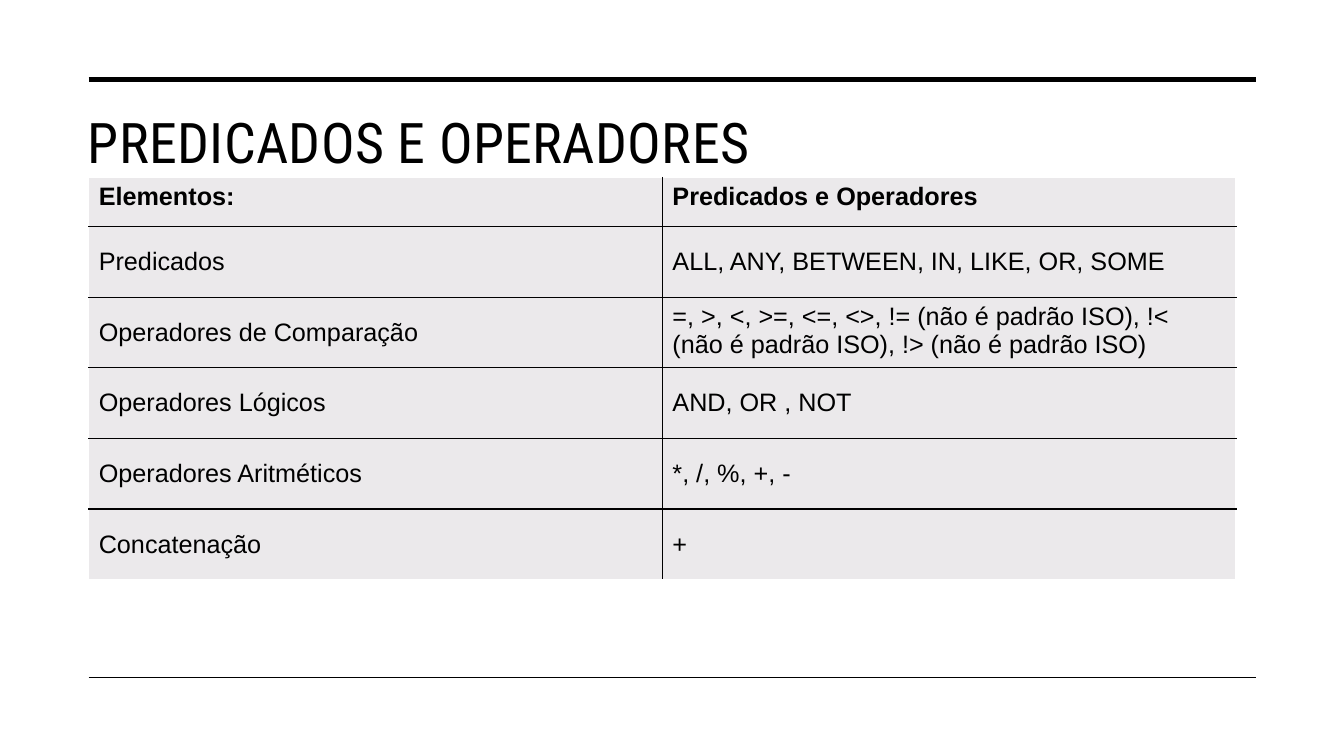
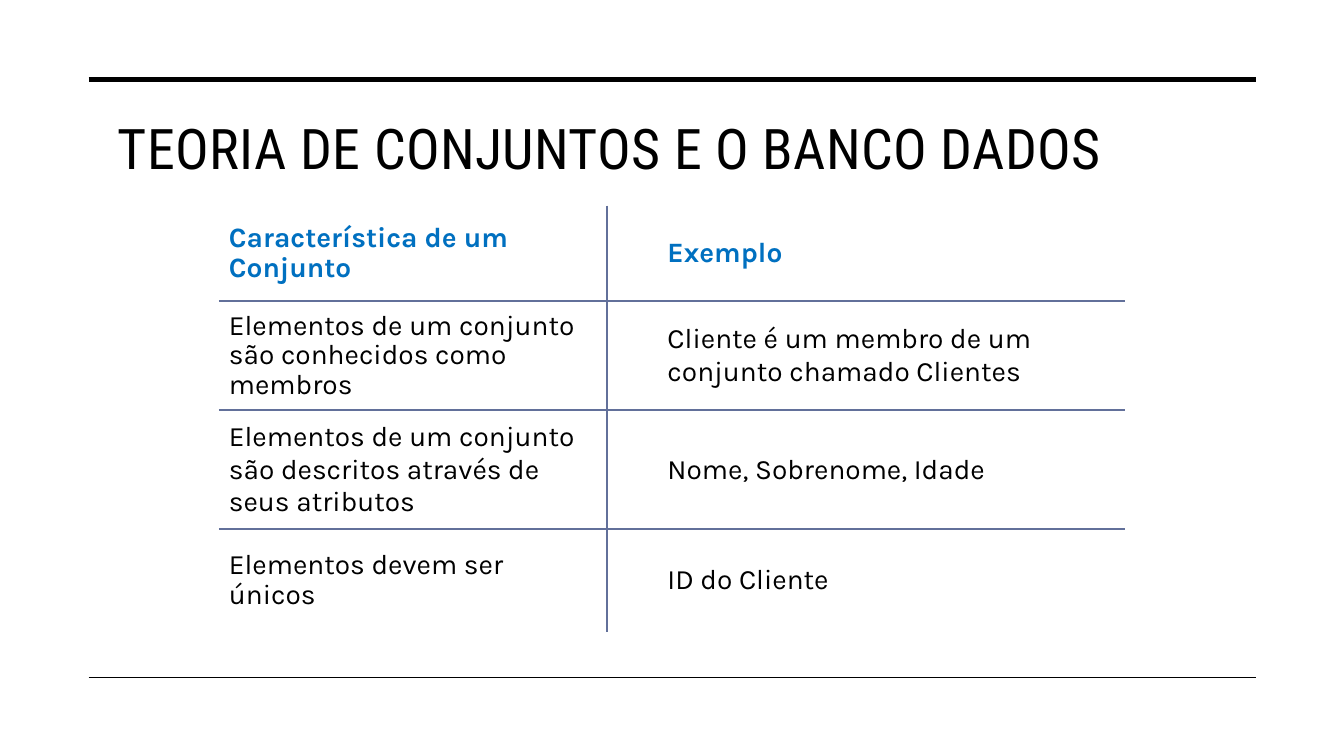
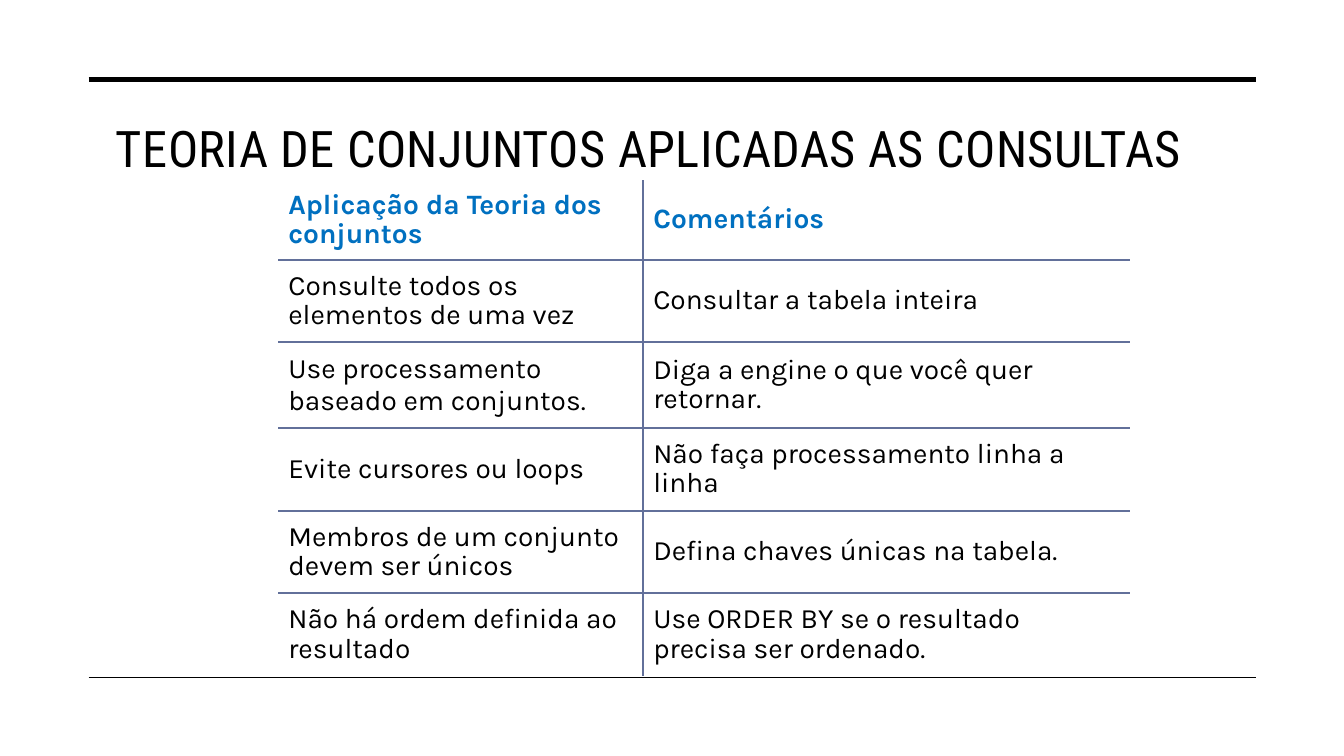
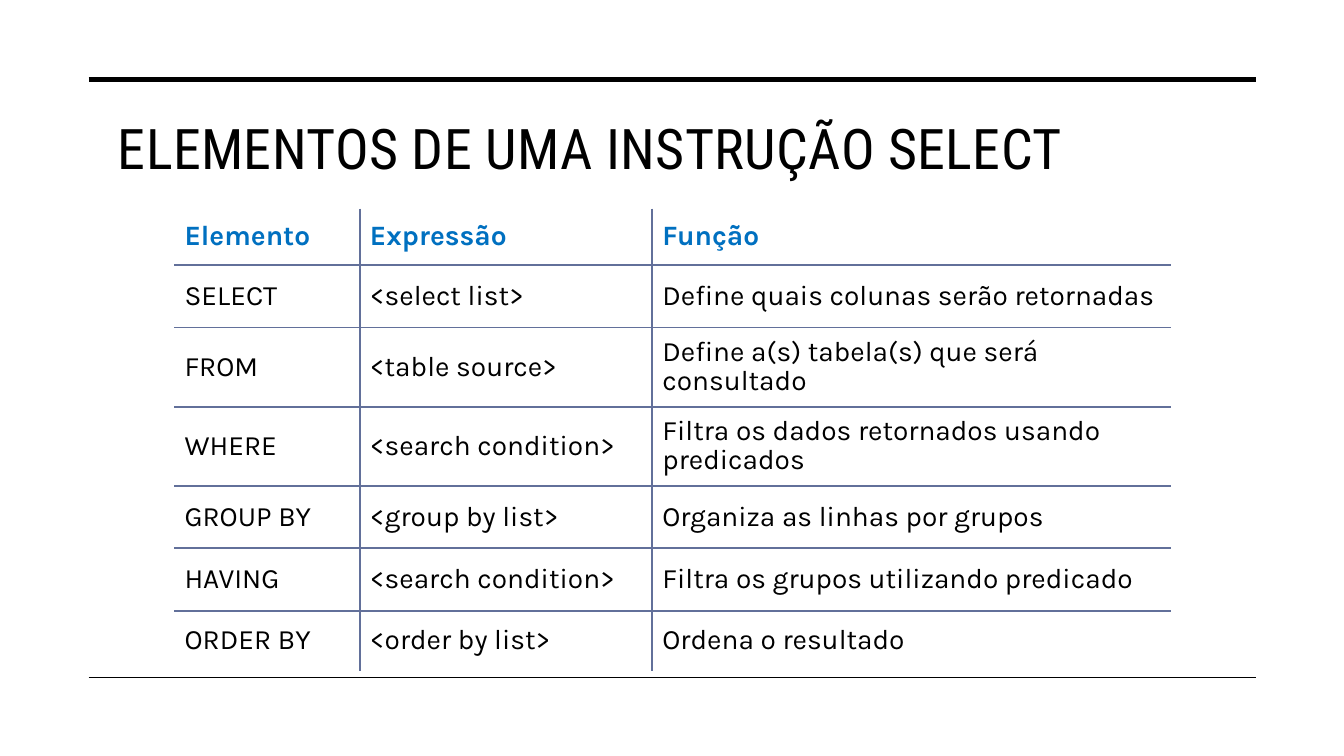
from dataclasses import dataclass, field

from lxml import etree
from pptx import Presentation
from pptx.dml.color import RGBColor
from pptx.enum.shapes import MSO_CONNECTOR
from pptx.enum.text import MSO_ANCHOR, PP_ALIGN
from pptx.oxml.ns import qn
from pptx.util import Pt

STRAIGHT = MSO_CONNECTOR.STRAIGHT
TOP, MIDDLE = MSO_ANCHOR.TOP, MSO_ANCHOR.MIDDLE
LEFT = PP_ALIGN.LEFT
PX = 9144
TITLE_ONLY = 5


@dataclass(frozen=True)
class Theme:
    """Colours, fonts and type sizes of the deck."""
    black: str = "000000"
    white: str = "FFFFFF"
    blue: str = "0070C0"
    slate: str = "62709A"
    grey: str = "EBE9EB"
    title_font: str = "Roboto Condensed"
    body_font: str = "Karla"
    plain_font: str = "Arial"
    title_size: int = 40
    long_title_size: int = 36
    body_size: int = 20
    plain_size: int = 18


T = Theme()


@dataclass(frozen=True)
class TableStyle:
    """Look of one kind of table."""
    font: str
    size: int
    head: str
    grid: str
    grid_pt: float
    outer: str | None
    fill: str | None
    pad: int
    spacing: float


PLAIN = TableStyle(T.plain_font, T.plain_size, T.black, T.black, 1, T.white, T.grey, 5, 1)
RULED = TableStyle(T.body_font, T.body_size, T.blue, T.slate, 1.5, None, None, 10, 0.9)


@dataclass(frozen=True)
class TableSlide:
    """Content and layout of one slide with a title and a table."""
    title: str
    style: TableStyle
    origin: tuple
    cols: list
    heights: list
    rows: list
    title_at: tuple = (82, 107)
    title_indent: int = 35
    title_size: int = T.title_size
    loose: set = field(default_factory=set)
    top: set = field(default_factory=set)
    indents: dict = field(default_factory=dict)


DECK = [
    TableSlide(
        "PREDICADOS E OPERADORES", PLAIN, (88, 176), [569] * 2, [49] + [70] * 5,
        [("Elementos:", "Predicados e Operadores"),
         ("Predicados", "ALL, ANY, BETWEEN, IN, LIKE, OR, SOME"),
         ("Operadores de Comparação",
          "=, >, <, >=, <=, <>, != (não é padrão ISO), !< (não é padrão ISO), !> (não é padrão ISO)"),
         ("Operadores Lógicos", "AND, OR , NOT"),
         ("Operadores Aritméticos", "*, /, %, +, -"),
         ("Concatenação", "+")],
        title_at=(77, 101), title_indent=10, top={(0, 0), (0, 1), (2, 1)}),
    TableSlide(
        "TEORIA DE CONJUNTOS E O BANCO DADOS", RULED, (217, 204), [385, 514],
        [95, 108, 118, 102],
        [("Característica de um Conjunto", "Exemplo"),
         ("Elementos de um conjunto são conhecidos como membros",
          "Cliente é um membro de um conjunto chamado Clientes"),
         ("Elementos de um conjunto são descritos através de seus atributos",
          "Nome, Sobrenome, Idade"),
         ("Elementos devem ser únicos", "ID do Cliente")],
        loose={(2, 0), (0, 1), (1, 1), (2, 1), (3, 1)}, indents={1: 50}),
    TableSlide(
        "TEORIA DE CONJUNTOS APLICADAS AS CONSULTAS", RULED, (276, 179), [362, 483],
        [78, 82, 85, 82, 82, 82],
        [("Aplicação da Teoria dos conjuntos", "Comentários"),
         ("Consulte todos os elementos de uma vez", "Consultar a tabela inteira"),
         ("Use processamento baseado em conjuntos.", "Diga a engine o que você quer retornar."),
         ("Evite cursores ou loops", "Não faça processamento linha a linha"),
         ("Membros de um conjunto devem ser únicos", "Defina chaves únicas na tabela."),
         ("Não há ordem definida ao resultado",
          "Use ORDER BY se o resultado precisa ser ordenado.")],
        title_indent=33, title_size=T.long_title_size, loose={(2, 0)}),
    TableSlide(
        "ELEMENTOS DE UMA INSTRUÇÃO SELECT", RULED, (173, 207), [184, 290, 514],
        [56, 62, 78, 78, 62, 62, 60],
        [("Elemento", "Expressão", "Função"),
         ("SELECT", "<select list>", "Define quais colunas serão retornadas"),
         ("FROM", "<table source>", "Define a(s) tabela(s) que será consultado"),
         ("WHERE", "<search condition>", "Filtra os dados retornados usando predicados"),
         ("GROUP BY", "<group by list>", "Organiza as linhas por grupos"),
         ("HAVING", "<search condition>", "Filtra os grupos utilizando predicado"),
         ("ORDER BY", "<order by list>", "Ordena o resultado")],
        loose={(2, 0)}),
]


def write(tf, text, *, font, size, color, bold=False, spacing=1, tracking=None, anchor=MIDDLE):
    """Put one formatted paragraph in a text frame."""
    tf.word_wrap = True
    tf.vertical_anchor = anchor
    p = tf.paragraphs[0]
    p.alignment = LEFT
    p.line_spacing = spacing
    r = p.add_run()
    r.text = text
    r.font.name, r.font.size, r.font.bold = font, Pt(size), bold
    r.font.color.rgb = RGBColor.from_string(color)
    if tracking:
        r.font._element.set("spc", str(tracking))


def add_bands(s):
    """Draw the two rules and move them to the layout that all slides share."""
    for i, (y, width) in enumerate([(79, 3.5), (672, 1)]):
        rule = s.shapes.add_connector(STRAIGHT, 88 * PX, y * PX, 1246 * PX, y * PX)
        rule.line.color.rgb = RGBColor.from_string(T.black)
        rule.line.width = Pt(width)
        etree.SubElement(rule.element.spPr, qn("a:effectLst"))
        rule.element.nvCxnSpPr.cNvPr.set("id", str(101 + i))
        s.slide_layout.shapes.element.append(rule.element)


def add_title(s, item):
    """Place and fill the title placeholder."""
    sp = s.shapes.title
    x, y = item.title_at
    sp.left, sp.top, sp.width, sp.height = x * PX, y * PX, 1169 * PX, 86 * PX
    tf = sp.text_frame
    write(tf, item.title, font=T.title_font, size=item.title_size, color=T.black,
          spacing=0.9, tracking=30)
    tf.margin_left = item.title_indent * PX


def set_border(cell, side, color, width):
    """Set one border of a cell, or clear it when no colour is given."""
    ln = etree.SubElement(cell._tc.get_or_add_tcPr(), qn(f"a:ln{side}"), w=str(Pt(width)))
    if color:
        fill = etree.SubElement(ln, qn("a:solidFill"))
        etree.SubElement(fill, qn("a:srgbClr"), val=color)
    else:
        etree.SubElement(ln, qn("a:noFill"))


def add_grid(s, item):
    """Add the table with lines inside and its own outer edge."""
    st = item.style
    x, y = item.origin
    n_rows, n_cols = len(item.rows), len(item.cols)
    table = s.shapes.add_table(n_rows, n_cols, x * PX, y * PX,
                               sum(item.cols) * PX, sum(item.heights) * PX).table
    table.first_row = table.horz_banding = False
    for col, width in zip(table.columns, item.cols):
        col.width = width * PX
    for row, height in zip(table.rows, item.heights):
        row.height = height * PX
    for i, texts in enumerate(item.rows):
        for j, text in enumerate(texts):
            cell = table.cell(i, j)
            edges = {"L": j == 0, "R": j == n_cols - 1, "T": i == 0, "B": i == n_rows - 1}
            for side, outside in edges.items():
                set_border(cell, side, st.outer if outside else st.grid,
                           1 if outside else st.grid_pt)
            if st.fill:
                cell.fill.solid()
                cell.fill.fore_color.rgb = RGBColor.from_string(st.fill)
            else:
                cell.fill.background()
            cell.margin_left = (10 + item.indents.get(j, 0)) * PX
            cell.margin_right = 10 * PX
            cell.margin_top = cell.margin_bottom = st.pad * PX
            anchor = TOP if (i, j) in item.top else MIDDLE
            write(cell.text_frame, text, font=st.font, size=st.size,
                  color=T.black if i else st.head, bold=i == 0,
                  spacing=1 if (i, j) in item.loose else st.spacing)
            cell.vertical_anchor = anchor


def main():
    """Build the deck and save it."""
    prs = Presentation()
    prs.slide_width, prs.slide_height = 1333 * PX, 750 * PX
    layout = prs.slide_layouts[TITLE_ONLY]
    for i, item in enumerate(DECK):
        s = prs.slides.add_slide(layout)
        if i == 0:
            add_bands(s)
        add_title(s, item)
        add_grid(s, item)
    prs.save("out.pptx")


if __name__ == "__main__":
    main()
